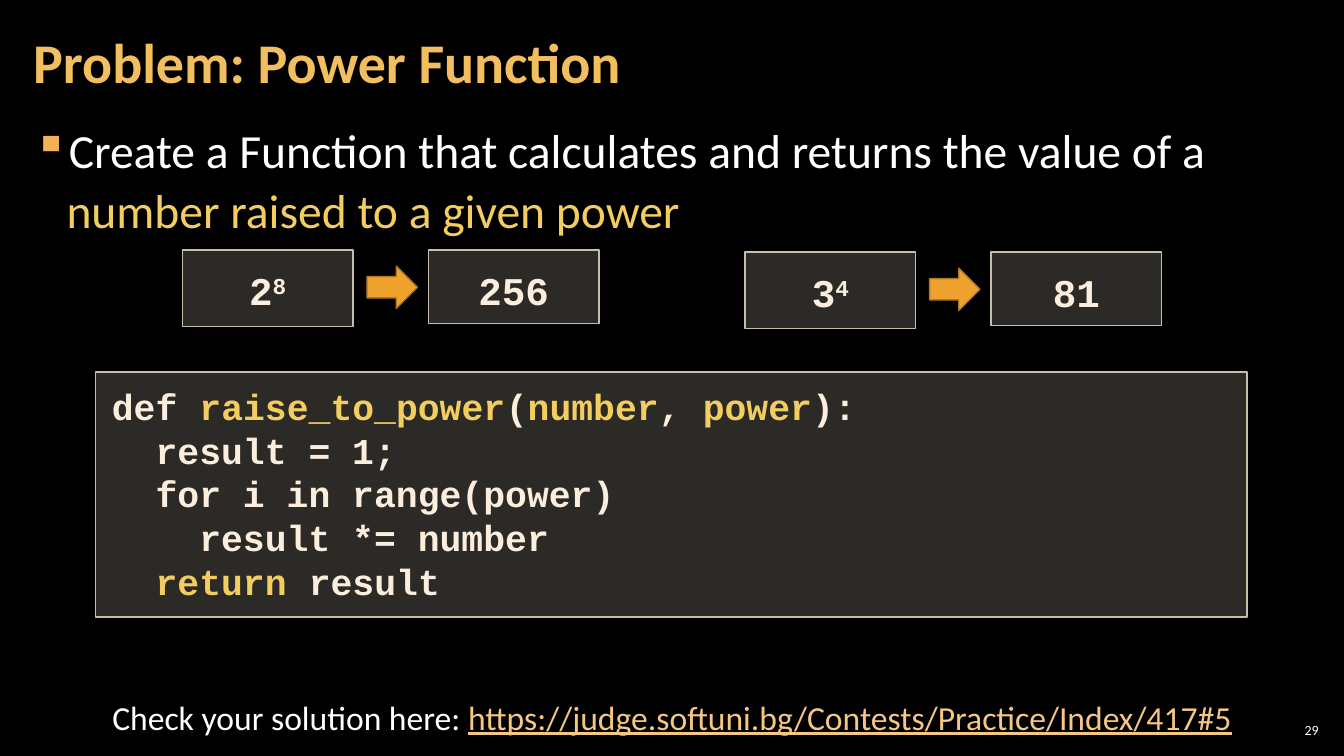
from lxml import etree
from pptx import Presentation
from pptx.dml.color import RGBColor
from pptx.enum import shapes, text
from pptx.oxml.ns import qn
from pptx.util import Inches, Pt

COLORS = {
    "background": "000000", "white": "FFFFFF", "title": "F3BE60",
    "highlight": "F3CD60", "bullet": "F2B254", "code": "FBEEDC",
    "panel": "D9D5C7", "panel_line": "C7BFAC",
    "arrow": "F0A22E", "arrow_line": "B27822", "link": "F6C781",
}
ALIGN = text.PP_ALIGN
ANCHOR = text.MSO_ANCHOR

CODE = [
    [("def ", "code"), ("raise_to_power", "highlight"), ("(", "code"),
     ("number", "highlight"), (", ", "code"), ("power", "highlight"), ("):", "code")],
    [("  result = 1;", "code")],
    [("  for i in range(power)", "code")],
    [("    result *= number", "code")],
    [("  return", "highlight"), (" result", "code")],
]
# left, top, base, exponent, value
EXAMPLES = [(1.81, 2.48, "2", "8", "256"), (7.39, 2.5, "3", "4", "81")]


def rgb(name):
    return RGBColor.from_string(COLORS[name])


def set_frame(frame, inset_x, inset_y, anchor=ANCHOR.TOP, grow=False):
    frame.word_wrap = True
    frame.margin_left = frame.margin_right = Inches(inset_x)
    frame.margin_top = frame.margin_bottom = Inches(inset_y)
    frame.vertical_anchor = anchor
    if grow:
        frame.auto_size = text.MSO_AUTO_SIZE.SHAPE_TO_FIT_TEXT


def write(paragraph, parts, size, font="Calibri", bold=False,
          align=ALIGN.LEFT, spacing=1.0):
    """Fill a paragraph with (words, colour name) parts and return its runs."""
    paragraph.alignment = align
    paragraph.line_spacing = spacing
    paragraph.font.name = font
    paragraph.font.size = Pt(size)
    paragraph.font.bold = bold
    runs = []
    for words, color in parts:
        run = paragraph.add_run()
        run.text = words
        run.font.color.rgb = rgb(color)
        runs.append(run)
    return runs


def add_text(slide, box, inset_x=0.1, inset_y=0.05, **frame_options):
    frame = slide.shapes.add_textbox(*map(Inches, box)).text_frame
    set_frame(frame, inset_x, inset_y, **frame_options)
    return frame.paragraphs[0]


def add_bullet(paragraph):
    properties = paragraph._p.get_or_add_pPr()
    properties.set("marL", str(Inches(0.33)))
    properties.set("indent", str(Inches(-0.33)))
    color = etree.SubElement(properties, qn("a:buClr"))
    etree.SubElement(color, qn("a:srgbClr"), val=COLORS["bullet"])
    etree.SubElement(properties, qn("a:buChar"), char="▪")


def add_filled(slide, kind, box, fill, line):
    shape = slide.shapes.add_shape(kind, *map(Inches, box))
    shape.shadow.inherit = False
    shape.fill.solid()
    shape.fill.fore_color.rgb = rgb(fill)
    shape.line.color.rgb = rgb(line)
    shape.line.width = Pt(1)
    return shape


def add_panel(slide, box, inset_x):
    """Add a see-through framed rectangle and return its text frame."""
    panel = add_filled(slide, shapes.MSO_SHAPE.RECTANGLE, box, "panel", "panel_line")
    fill_color = panel._element.spPr.find(qn("a:solidFill")).find(qn("a:srgbClr"))
    etree.SubElement(fill_color, qn("a:alpha"), val="20000")
    set_frame(panel.text_frame, inset_x, 0.12, grow=True)
    return panel.text_frame


def add_code(slide):
    frame = add_panel(slide, (0.95, 3.69, 11.42, 2.43), 0.16)
    for number, parts in enumerate(CODE):
        line = frame.add_paragraph() if number else frame.paragraphs[0]
        write(line, parts, 26, "Courier New", bold=True)


def add_example(slide, left, top, base, exponent, value):
    def add_number(x, height, *words):
        frame = add_panel(slide, (x, top, 1.69, height), 0.2)
        return write(frame.paragraphs[0], [(word, "code") for word in words], 28,
                     "Courier New", bold=True, align=ALIGN.CENTER, spacing=1.1)

    add_number(left + 2.44, 0.73, value)
    power_runs = add_number(left, 0.76, base, exponent)
    power_runs[1]._r.get_or_add_rPr().set("baseline", "30000")
    add_filled(slide, shapes.MSO_SHAPE.RIGHT_ARROW,
               (left + 1.83, top + 0.16, 0.5, 0.42), "arrow", "arrow_line")


def main():
    deck = Presentation()
    deck.slide_width, deck.slide_height = Inches(13.33), Inches(7.5)
    slide = deck.slides.add_slide(deck.slide_layouts[6])
    slide.background.fill.solid()
    slide.background.fill.fore_color.rgb = rgb("background")

    task = add_text(slide, (0.21, 1.13, 12.91, 6.09), 0.12, 0.04)
    add_bullet(task)
    write(task, [("Create a Function that calculates and returns the value of a ", "white"),
                 ("number raised to a given power", "highlight")], 34, spacing=1.05)

    page_number = add_text(slide, (12.65, 7.14, 0.47, 0.21), 0.04, 0.04,
                           anchor=ANCHOR.MIDDLE)
    write(page_number, [("29", "white")], 10, align=ALIGN.RIGHT)

    title = add_text(slide, (0.21, 0.04, 10.47, 1.21), 0.12, 0.04, anchor=ANCHOR.MIDDLE)
    write(title, [("Problem: Power Function", "title")], 40, bold=True, spacing=0.9)

    add_code(slide)
    for example in EXAMPLES:
        add_example(slide, *example)

    check = add_text(slide, (0.68, 6.86, 11.97, 0.5), grow=True)
    check_runs = write(check, [
        ("Check your solution here: ", "white"),
        ("https://judge.softuni.bg/Contests/Practice/Index/417#5", "link"),
    ], 24, align=ALIGN.CENTER)
    check_runs[1].font.underline = True

    deck.save("out.pptx")


if __name__ == "__main__":
    main()
